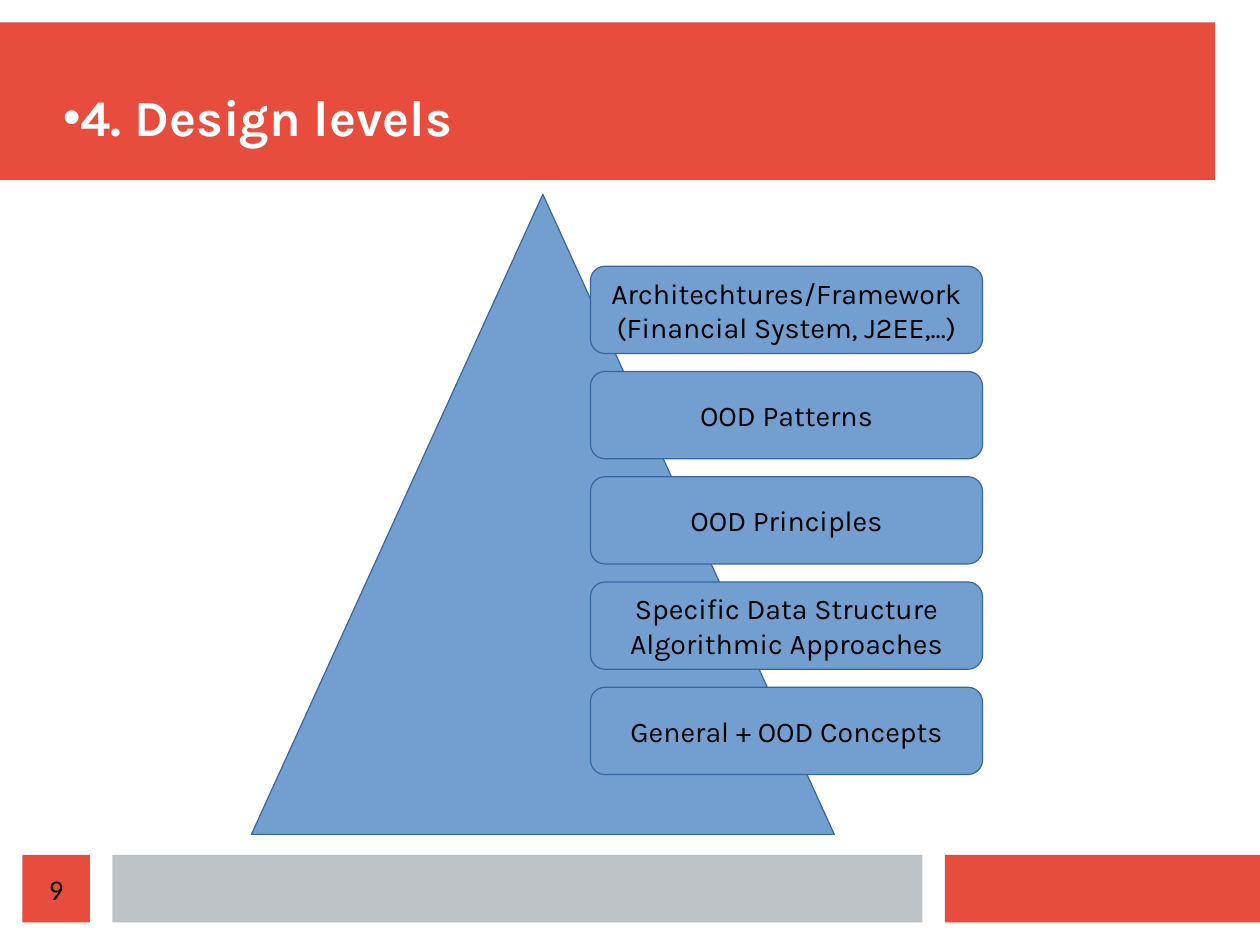
"""Build the design levels slide: a pyramid with five stacked level boxes."""
from lxml import etree
from pptx import Presentation
from pptx.dml.color import RGBColor
from pptx.enum.shapes import MSO_SHAPE
from pptx.enum.text import MSO_ANCHOR, PP_ALIGN
from pptx.oxml.ns import qn
from pptx.util import Pt

RECT = MSO_SHAPE.RECTANGLE
ROUNDED = MSO_SHAPE.ROUNDED_RECTANGLE
TRIANGLE = MSO_SHAPE.ISOSCELES_TRIANGLE
MIDDLE = MSO_ANCHOR.MIDDLE
LEFT, CENTER = PP_ALIGN.LEFT, PP_ALIGN.CENTER

TITLE = "4. Design levels"
PAGE = "9"
LEVELS = [
    "Architechtures/Framework\n(Financial System, J2EE,...)",
    "OOD Patterns",
    "OOD Principles",
    "Specific Data Structure\nAlgorithmic Approaches",
    "General + OOD Concepts",
]

THEME = {
    "red": "E74C3C", "grey": "BDC3C7", "blue": "729FCF", "edge": "3465A4",
    "ink": "000000", "white": "FFFFFF",
    "font": "Karla", "page_font": "Calibri", "bullet_font": "Arial",
    "title_size": 32, "body_size": 18,
}

SLIDE_W, SLIDE_H = 793.75, 595.25
BANNER = (0, 14.17, 765.35, 99.2)
TITLE_BOX = (39.6, 23.8, 714.2, 99.2)
FOOT_TOP, FOOT_H = 538.5, 42.5
FOOT_RED = (595.3, FOOT_TOP, SLIDE_W - 595.3, FOOT_H)
FOOT_GREY = (70.8, FOOT_TOP, 510.2, FOOT_H)
PAGE_BOX = (14.1, FOOT_TOP, FOOT_H, FOOT_H)
PYRAMID = (158.4, 122.4, 367.2, 403.2)
LEVEL_LEFT, LEVEL_TOP, LEVEL_W, LEVEL_H, LEVEL_STEP = 372, 167.7, 247, 55, 66.3
BULLET_INDENT = 11


def color(name):
    return RGBColor.from_string(THEME[name])


def add_block(slide, kind, box, fill, edge=None):
    sp = slide.shapes.add_shape(kind, *map(Pt, box))
    sp.shadow.inherit = False
    sp.fill.solid()
    sp.fill.fore_color.rgb = color(fill)
    if edge:
        sp.line.color.rgb = color(edge)
        sp.line.width = Pt(0)
    else:
        sp.line.fill.background()
    return sp


def set_text(sp, text, size="body_size", font="font", ink="ink",
             align=CENTER, bold=False, wrap=True, inset=(0, 0)):
    tf = sp.text_frame
    tf.text = text
    tf.word_wrap = wrap
    tf.vertical_anchor = MIDDLE
    tf.margin_left = tf.margin_right = Pt(inset[0])
    tf.margin_top = tf.margin_bottom = Pt(inset[1])
    for p in tf.paragraphs:
        p.alignment = align
        for r in p.runs:
            r.font.name = THEME[font]
            r.font.size = Pt(THEME[size])
            r.font.bold = bold
            r.font.color.rgb = color(ink)


def add_bullet(p):
    pPr = p._p.get_or_add_pPr()
    pPr.set("marL", str(Pt(BULLET_INDENT)))
    pPr.set("indent", str(-Pt(BULLET_INDENT)))
    etree.SubElement(pPr, qn("a:buFont")).set("typeface", THEME["bullet_font"])
    etree.SubElement(pPr, qn("a:buChar")).set("char", "•")


def main():
    prs = Presentation()
    prs.slide_width, prs.slide_height = Pt(SLIDE_W), Pt(SLIDE_H)
    slide = prs.slides.add_slide(prs.slide_layouts[6])

    for box, fill in ((BANNER, "red"), (FOOT_RED, "red"), (FOOT_GREY, "grey")):
        add_block(slide, RECT, box, fill)
    set_text(add_block(slide, RECT, PAGE_BOX, "red"), PAGE, font="page_font")

    title = slide.shapes.add_textbox(*map(Pt, TITLE_BOX))
    set_text(title, TITLE, size="title_size", ink="white", align=LEFT, bold=True)
    add_bullet(title.text_frame.paragraphs[0])

    add_block(slide, TRIANGLE, PYRAMID, "blue", "edge")
    for i, level in enumerate(LEVELS):
        box = (LEVEL_LEFT, LEVEL_TOP + i * LEVEL_STEP, LEVEL_W, LEVEL_H)
        sp = add_block(slide, ROUNDED, box, "blue", "edge")
        set_text(sp, level, wrap=False, inset=(7.2, 3.6))

    prs.save("out.pptx")


main()
